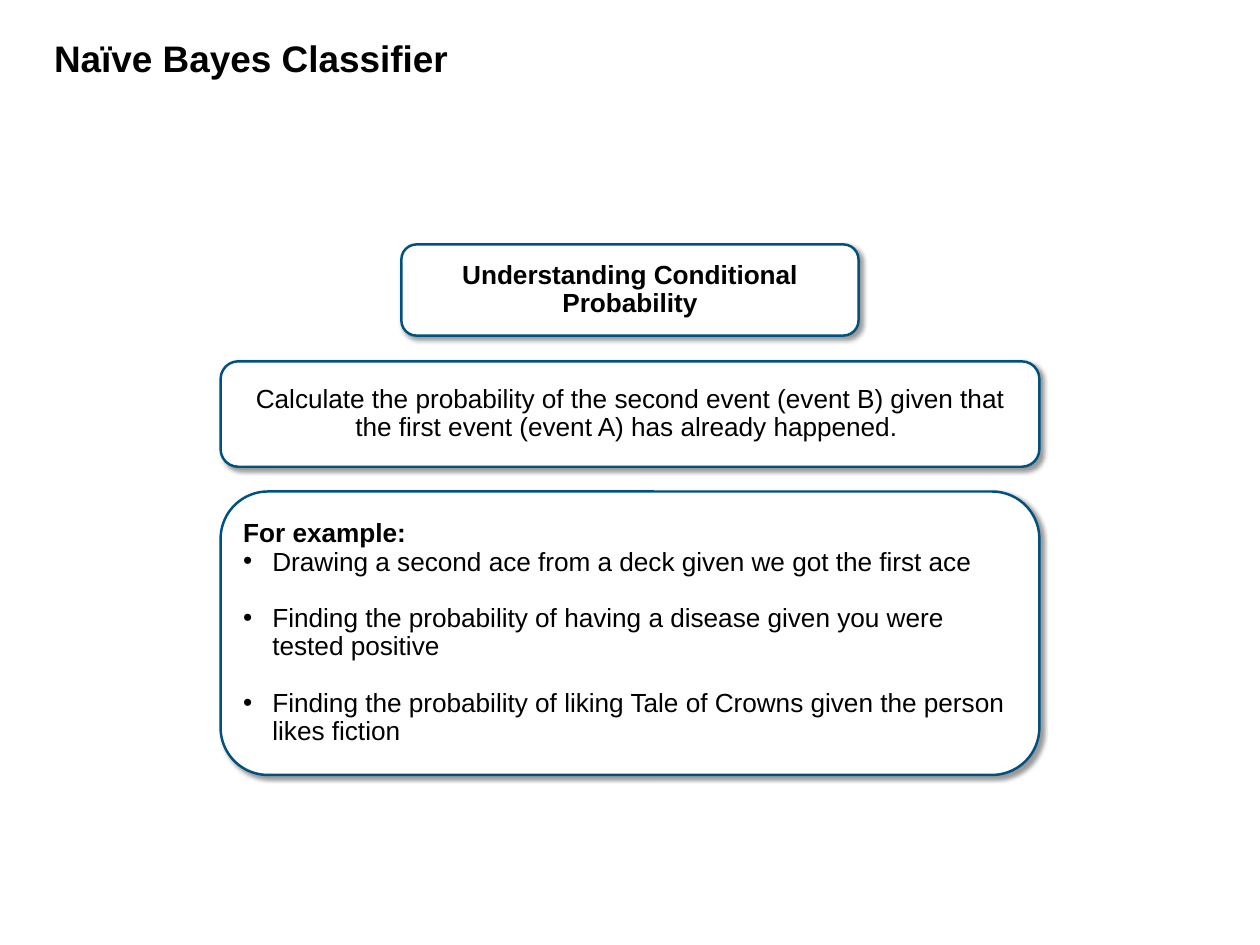
from dataclasses import dataclass

from lxml import etree
from pptx import Presentation
from pptx.dml.color import RGBColor
from pptx.enum.shapes import MSO_SHAPE
from pptx.enum.text import MSO_ANCHOR, MSO_AUTO_SIZE, PP_ALIGN
from pptx.oxml.ns import qn
from pptx.shapes.autoshape import Shape
from pptx.slide import Slide
from pptx.text.text import _Paragraph
from pptx.util import Emu, Pt

ROUNDED = MSO_SHAPE.ROUNDED_RECTANGLE
MIDDLE, TOP = MSO_ANCHOR.MIDDLE, MSO_ANCHOR.TOP
CENTER, LEFT = PP_ALIGN.CENTER, PP_ALIGN.LEFT
NO_AUTOFIT = MSO_AUTO_SIZE.NONE

BLACK = RGBColor(0x00, 0x00, 0x00)
WHITE = RGBColor(0xFF, 0xFF, 0xFF)
BLUE = RGBColor(0x00, 0x51, 0x80)

FONT = "Arial"
TITLE_SIZE = 30
BODY_SIZE = 21.3
LINE_SPACING = 0.9
BULLET_INDENT = 33
BULLET_GAP = Pt(23)


def px(length: int) -> Emu:
    """Turn px, at 100 to the inch, into EMU."""
    return Emu(length * 9144)


@dataclass(frozen=True)
class Line:
    text: str
    bold: bool = False
    align: PP_ALIGN = LEFT
    bullet: bool = False
    gap_before: Emu = Pt(0)


@dataclass(frozen=True)
class Box:
    left: int
    top: int
    width: int
    height: int
    lines: tuple[Line, ...]


BOXES = (
    Box(453, 276, 516, 103, (
        Line("Understanding Conditional Probability", bold=True, align=CENTER),
    )),
    Box(249, 408, 924, 119, (
        Line("Calculate the probability of the second event (event B) given that "
             "the first event (event A) has already happened. ", align=CENTER),
    )),
    Box(249, 555, 924, 320, (
        Line("For example:", bold=True),
        Line("Drawing a second ace from a deck given we got the first ace", bullet=True),
        Line("Finding the probability of having a disease given you were tested positive",
             bullet=True, gap_before=BULLET_GAP),
        Line("Finding the probability of liking Tale of Crowns given the person likes fiction",
             bullet=True, gap_before=BULLET_GAP),
    )),
)


def add_bullet(para: _Paragraph) -> None:
    properties = para._p.get_or_add_pPr()
    properties.set("marL", str(px(BULLET_INDENT)))
    properties.set("indent", str(px(-BULLET_INDENT)))
    etree.SubElement(properties, qn("a:buFont"), typeface=FONT)
    etree.SubElement(properties, qn("a:buChar"), char="•")


def write_line(para: _Paragraph, line: Line, size: float) -> None:
    para.alignment = line.align
    para.line_spacing = LINE_SPACING
    para.space_before = line.gap_before
    if line.bullet:
        add_bullet(para)
    span = para.add_run()
    span.text = line.text
    span.font.name = FONT
    span.font.size = Pt(size)
    span.font.bold = line.bold
    span.font.color.rgb = BLACK


def add_soft_shadow(shape: Shape) -> None:
    shape.shadow.inherit = False
    effects = shape._element.spPr.find(qn("a:effectLst"))
    shadow = etree.SubElement(
        effects, qn("a:outerShdw"), blurRad=str(Pt(4)), dist=str(Pt(3)),
        dir="2700000", algn="tl", rotWithShape="0")
    color = etree.SubElement(shadow, qn("a:srgbClr"), val=str(BLACK))
    etree.SubElement(color, qn("a:alpha"), val="40000")


def add_box(slide: Slide, box: Box) -> None:
    shape = slide.shapes.add_shape(
        ROUNDED, px(box.left), px(box.top), px(box.width), px(box.height))
    shape.fill.solid()
    shape.fill.fore_color.rgb = WHITE
    shape.line.color.rgb = BLUE
    shape.line.width = Pt(2)
    add_soft_shadow(shape)
    frame = shape.text_frame
    frame.word_wrap = True
    frame.vertical_anchor = MIDDLE
    for index, line in enumerate(box.lines):
        para = frame.add_paragraph() if index else frame.paragraphs[0]
        write_line(para, line, BODY_SIZE)


def set_title(slide: Slide, text: str) -> None:
    title = slide.shapes.title
    title.left, title.top = px(51), px(41)
    title.width, title.height = px(734), px(56)
    frame = title.text_frame
    frame.auto_size = NO_AUTOFIT
    frame.word_wrap = True
    frame.vertical_anchor = TOP
    write_line(frame.paragraphs[0], Line(text, bold=True), TITLE_SIZE)


def main() -> None:
    deck = Presentation()
    deck.slide_width, deck.slide_height = px(1422), px(1067)
    page = deck.slides.add_slide(deck.slide_layouts.get_by_name("Title Only"))
    set_title(page, "Naïve Bayes Classifier")
    for box in BOXES:
        add_box(page, box)
    deck.save("out.pptx")


if __name__ == "__main__":
    main()
